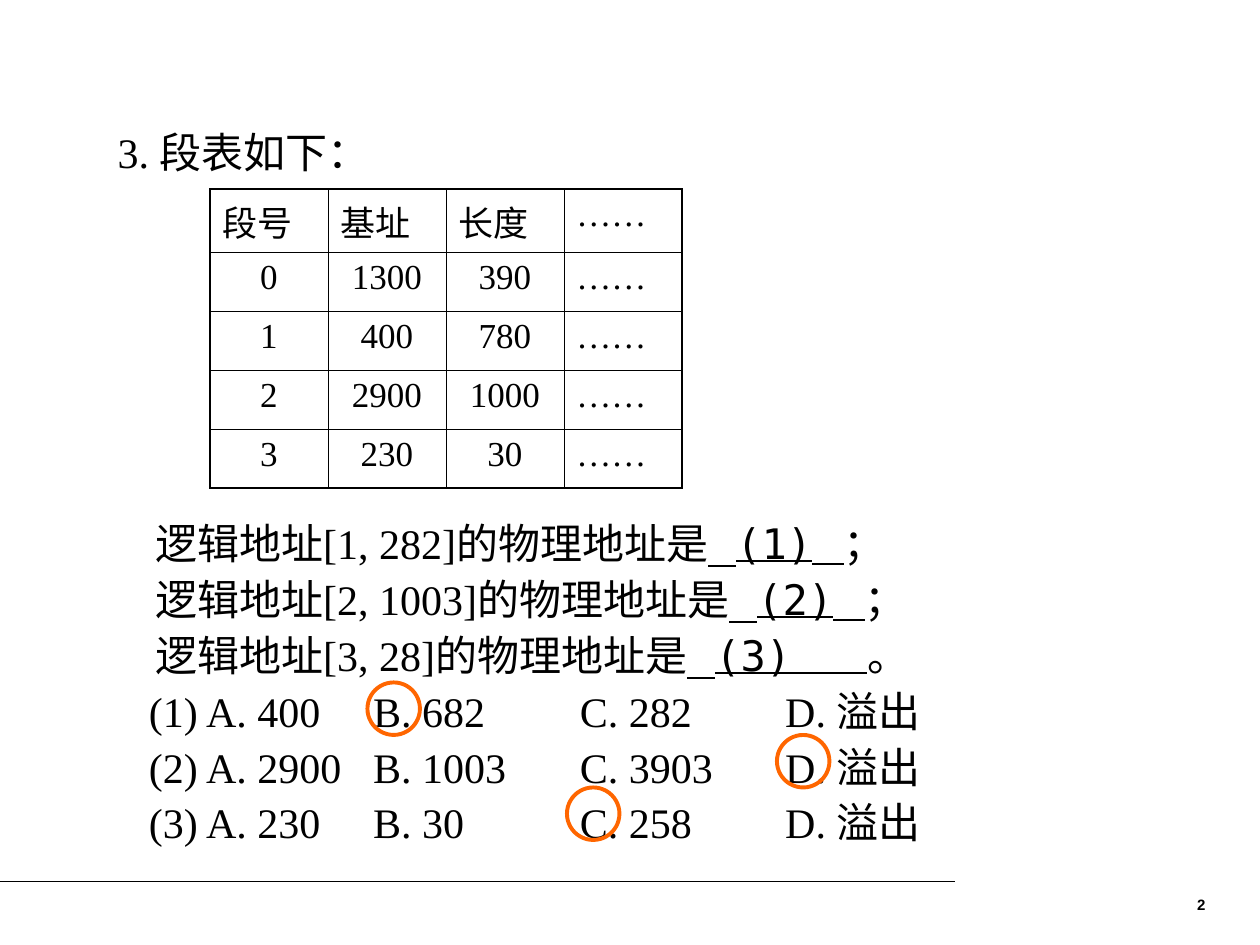
import pptx
import pptx.dml.color
import pptx.enum.shapes
import pptx.enum.text
import pptx.oxml
import pptx.oxml.ns
import pptx.util
import lxml.etree

Pt = pptx.util.Pt
Inches = pptx.util.Inches
align = pptx.enum.text.PP_ALIGN
qn = pptx.oxml.ns.qn

deck = pptx.Presentation()
deck.slide_width, deck.slide_height = Inches(10), Inches(7.5)
page = deck.slides.add_slide(deck.slide_layouts[5])
unit = deck.slide_width / 24
tall = deck.slide_height


def colour(value):
    return pptx.dml.color.RGBColor.from_string(value)


def write(para, text, form, span_form):
    for name, value in form.items():
        setattr(para, name, value)
    span = para.add_run()
    span.text = text
    span.font.color.rgb = colour("000000")
    for name, value in span_form.items():
        setattr(span.font, name, value)


rule_y = int(tall * 0.933)
rule = page.shapes.add_connector(
    pptx.enum.shapes.MSO_CONNECTOR.STRAIGHT, 0, rule_y, int(18.2 * unit), rule_y)
rule.line.color.rgb = colour("000000")
rule.line.width = Pt(0.75)
lxml.etree.SubElement(rule.element.spPr, qn("a:effectLst"))

number = page.shapes.add_textbox(
    int(17.6 * unit), int(17 * unit), int(5.6 * unit), int(0.65 * unit))
number.text_frame.word_wrap = True
write(number.text_frame.paragraphs[0], "2",
      {"alignment": align.RIGHT, "line_spacing": 0.8},
      {"name": "Arial", "size": Pt(8.6), "bold": True})

serif = {"name": "Times New Roman", "size": Pt(24)}
blank = {**serif, "underline": True}
mono = {**blank, "name": "DejaVu Sans Mono"}
normal = {"alignment": align.LEFT, "line_spacing": 0.9, "space_before": Pt(6)}

title = page.shapes.title
title.left, title.top = int(2 * unit), int(2.4 * unit)
title.width, title.height = int(20.2 * unit), int(1.2 * unit)
quiz = page.shapes.add_textbox(
    int(2 * unit), int(9.85 * unit), int(20.2 * unit), int(6.55 * unit))
for holder in (title, quiz):
    frame = holder.text_frame
    frame.word_wrap = True
    frame.auto_size = pptx.enum.text.MSO_AUTO_SIZE.NONE
    frame.vertical_anchor = pptx.enum.text.MSO_ANCHOR.TOP
write(title.text_frame.paragraphs[0], "3. 段表如下：", normal, serif)

lines = []
questions = [("1, 282", "；"), ("2, 1003", "；"), ("3, 28", "。")]
for index, (address, mark) in enumerate(questions, 1):
    last_blank = mono if mark == "。" else blank
    spans = [(f"\t逻辑地址[{address}]的物理地址是", serif), ("   ", blank),
             (f"({index})", mono), ("   ", last_blank), (mark, serif)]
    lines.append((spans, [0.3]))

choices = [("400", "682", "282"), ("2900", "1003", "3903"), ("230", "30", "258")]
for index, (first, second, third) in enumerate(choices, 1):
    text = f"\t({index}) A. {first}\tB. {second}\tC. {third}\tD. 溢出"
    lines.append(([(text, serif)], [0.25, 2.03, 3.67, 5.3]))

for index, (spans, stops) in enumerate(lines):
    para = quiz.text_frame.add_paragraph() if index else quiz.text_frame.paragraphs[0]
    for text, span_form in spans:
        write(para, text, normal, span_form)
    tabs = lxml.etree.SubElement(para._p.get_or_add_pPr(), qn("a:tabLst"))
    for stop in stops:
        lxml.etree.SubElement(tabs, qn("a:tab"), pos=str(Inches(stop)), algn="l")

rows = [
    ("段号", "基址", "长度"),
    ("0", "1300", "390"),
    ("1", "400", "780"),
    ("2", "2900", "1000"),
    ("3", "230", "30"),
]
grid = page.shapes.add_table(
    5, 4, int(4 * unit), int(tall * 0.2), int(8.99 * unit), int(5.625 * unit))
table = grid.table
table.first_row = table.horz_banding = False
table.rows[0].height = int(1.2 * unit)
for row, values in enumerate(rows):
    for column, value in enumerate((*values, "……")):
        cell = table.cell(row, column)
        centred = row > 0 and column < 3
        write(cell.text_frame.paragraphs[0], value,
              {"alignment": align.CENTER if centred else align.LEFT, "space_before": Pt(5)},
              {"name": "Times New Roman", "size": Pt(20)})
        props = cell._tc.get_or_add_tcPr()
        outer = {"L": column == 0, "R": column == 3, "T": row == 0, "B": row == 4}
        for side, thick in outer.items():
            border = lxml.etree.SubElement(
                props, qn(f"a:ln{side}"), w=str(Pt(1.08 if thick else 0.45)))
            fill = lxml.etree.SubElement(border, qn("a:solidFill"))
            lxml.etree.SubElement(fill, qn("a:srgbClr"), val="000000")
        cell.fill.background()

for column, row in ((7, 13), (14.8, 14), (10.8, 15)):
    ring = page.shapes.add_shape(
        pptx.enum.shapes.MSO_SHAPE.OVAL,
        int(column * unit), int(row * unit), int(unit), int(unit))
    ring.shadow.inherit = False
    ring.fill.background()
    ring.line.color.rgb = colour("FF6600")
    ring.line.width = Pt(2.25)

deck.save("out.pptx")
